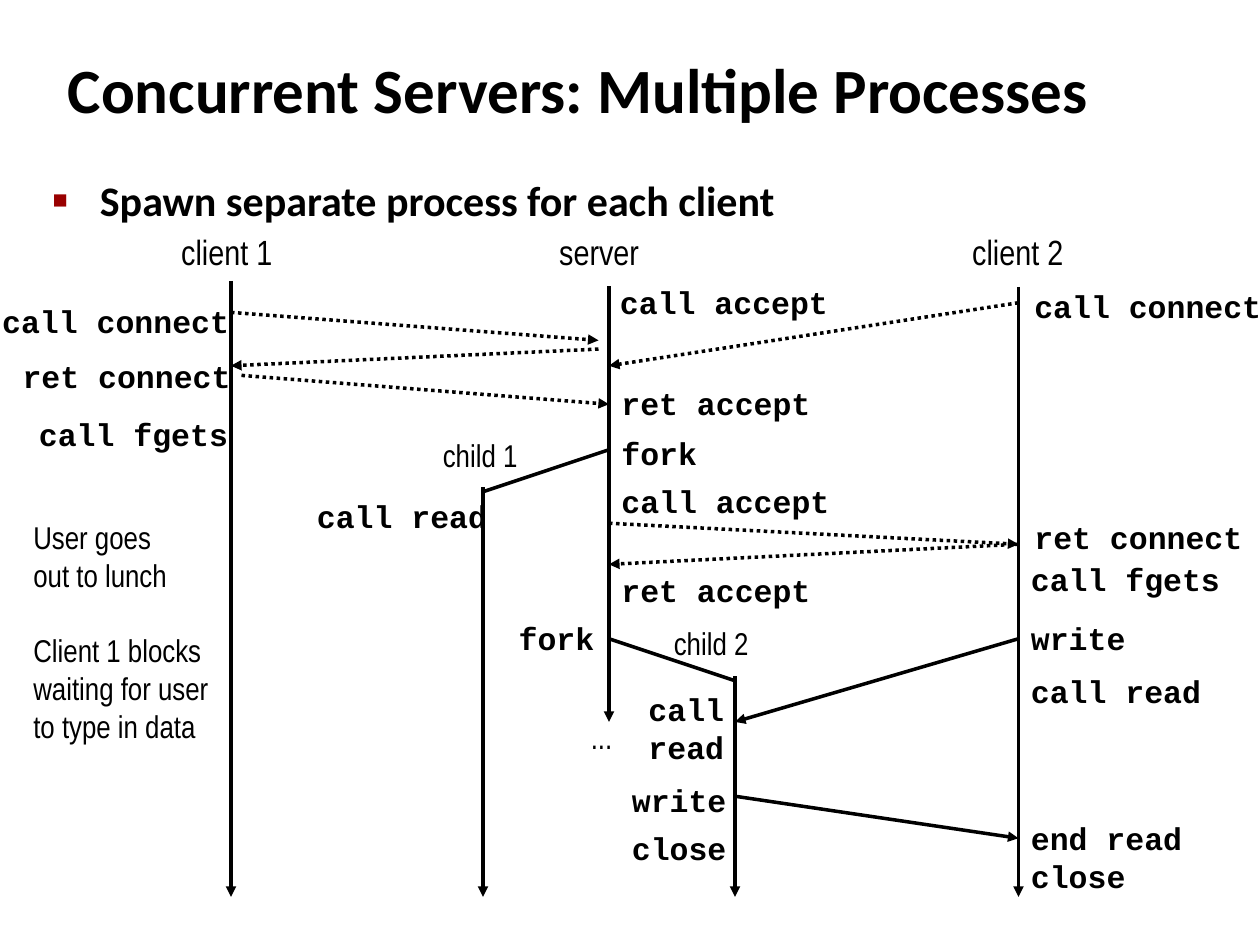
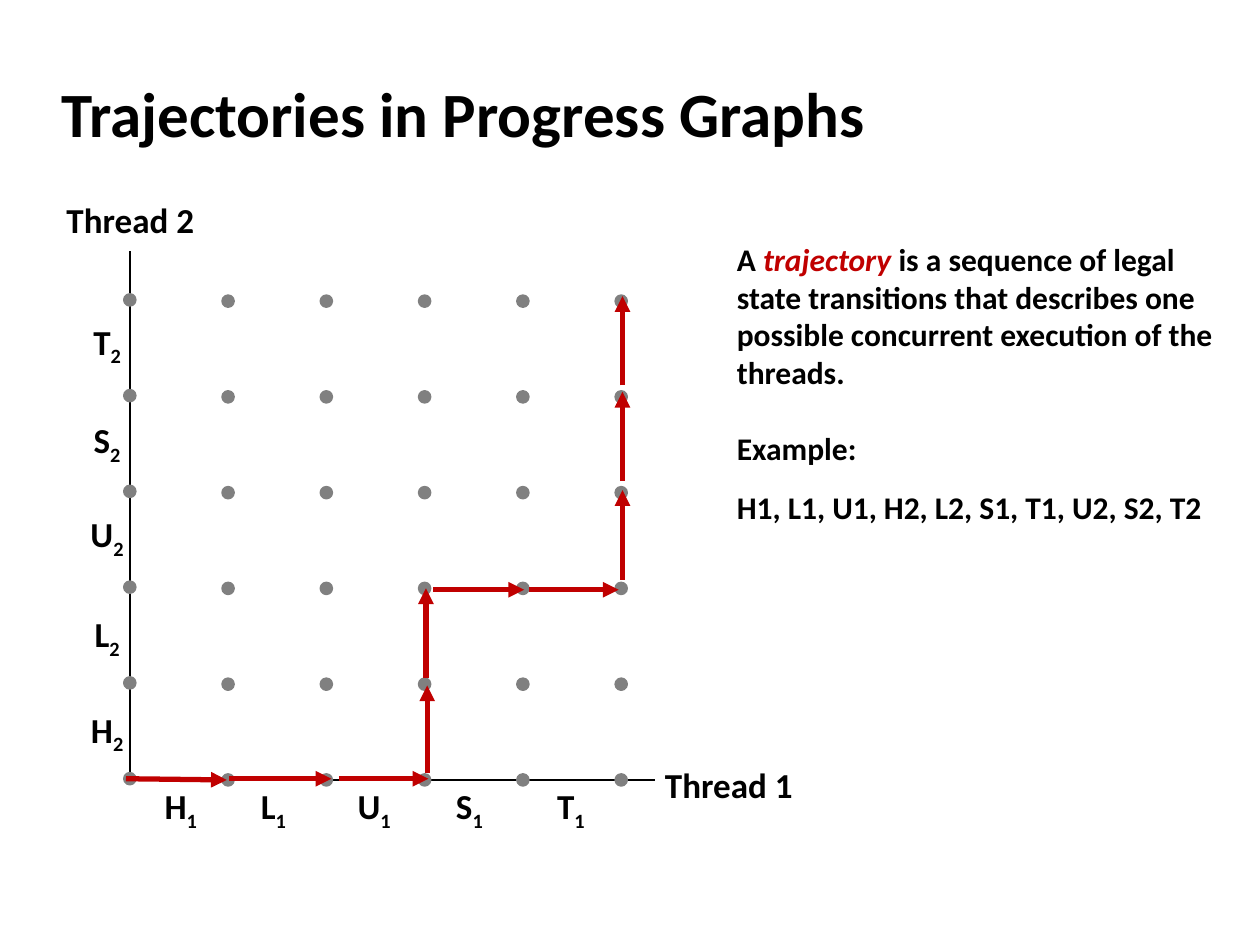
from typing import NamedTuple

from lxml.etree import SubElement
from pptx import Presentation
from pptx.dml.color import RGBColor
from pptx.enum.dml import MSO_LINE
from pptx.enum.shapes import MSO_CONNECTOR, MSO_SHAPE
from pptx.enum.text import MSO_ANCHOR, MSO_AUTO_SIZE, PP_ALIGN
from pptx.oxml.ns import qn
from pptx.util import Pt

BLACK, GRAY, RED, BULLET_RED = "000000", "808080", "C00000", "990000"
HEADING, NARROW, CODE = "Calibri", "Arial Narrow", "Courier New"
CODE_CHAR, INSETS = 10.8, 14.4

CLIENT_1, CHILD_1, SERVER, CHILD_2, CLIENT_2 = 132, 276, 348, 420, 582
NEAR_SERVER, TIME_END = 342, 512.5


class Arrow(NamedTuple):
    x1: float
    y1: float
    x2: float
    y2: float
    dotted: bool = False
    head: bool = True


class Label(NamedTuple):
    text: str
    left: float
    top: float
    width: float = 0
    size: float = 18


class Step(NamedTuple):
    name: str
    across: float
    up: float


LIFELINES = [
    Arrow(CLIENT_1, 160.5, CLIENT_1, TIME_END),
    Arrow(SERVER, 163.5, SERVER, 412.5),
    Arrow(CLIENT_2, 164, CLIENT_2, TIME_END),
    Arrow(CHILD_1, 278.5, CHILD_1, TIME_END),
    Arrow(CHILD_2, 386.5, CHILD_2, TIME_END),
]
MESSAGES = [
    Arrow(CLIENT_1, 178.5, NEAR_SERVER, 194.5, dotted=True),
    Arrow(NEAR_SERVER, 199.5, CLIENT_1, 209, dotted=True),
    Arrow(138, 214.5, SERVER, 231, dotted=True),
    Arrow(CLIENT_2, 173, SERVER, 209, dotted=True),
    Arrow(SERVER, 299, CLIENT_2, 311, dotted=True),
    Arrow(CLIENT_2, 311, SERVER, 322.5, dotted=True),
    Arrow(SERVER, 257, CHILD_1, 281, head=False),
    Arrow(SERVER, 365, CHILD_2, 389, head=False),
    Arrow(CLIENT_2, 365, CHILD_2, 412.5),
    Arrow(CHILD_2, 455, CLIENT_2, 479),
]
ROLES = [
    Label("client 1", 96.5, 128, 67, 20),
    Label("server", 312.5, 128, 60.5, 20),
    Label("client 2", 548.5, 128, 67, 20),
    Label("child 1", 246, 245.5, 66),
    Label("child 2", 378, 353, 66),
    Label("...", 330.5, 407, 29.5),
]
CALLS = [
    Label("call connect", -5.8, 169),
    Label("ret connect", 5.8, 200.3),
    Label("call fgets", 15.2, 233.7),
    Label("call accept", 347.2, 158.2),
    Label("ret accept", SERVER, 216),
    Label("fork", SERVER, 244.7),
    Label("call accept", SERVER, 272),
    Label("ret accept", SERVER, 322.5),
    Label("fork", 289.3, 350),
    Label("call read", 174, 280.7),
    Label("call\nread", 363.5, 391, 69),
    Label("write", 354, 443),
    Label("close", 354, 470),
    Label("call connect", 584, 160.5),
    Label("ret connect", 584, 292.7),
    Label("call fgets", CLIENT_2, 316.7),
    Label("write", CLIENT_2, 350),
    Label("call read", CLIENT_2, 380.2),
    Label("end read", CLIENT_2, 464.5),
    Label("close", CLIENT_2, 486),
]

STEPS = [
    Step("H", 103.3, 418.3),
    Step("L", 156.2, 363.6),
    Step("U", 213.8, 306.7),
    Step("S", 268.2, 252.7),
    Step("T", 326.2, 196.6),
]
STEP_WIDTH = 40
DOT_COUNT, DOT_SIZE = 6, 5.76
DOT_LEFT, DOT_BOTTOM, DOT_ACROSS, DOT_UP = 71.28, 442.8, 56.16, 54.72
AXES = [
    Arrow(74.2, 445.7, 374.4, 445.7, head=False),
    Arrow(74.2, 445.7, 74.2, 143.3, head=False),
]
TRAJECTORY = [
    Arrow(72, 445, 129.6, 445.7),
    Arrow(131, 445, 189.4, 445),
    Arrow(193.7, 445, 244.8, 445),
    Arrow(244.1, 442, 244.1, 391.7),
    Arrow(243.4, 387.4, 243.4, 336.2),
    Arrow(247.7, 337, 299.5, 337),
    Arrow(302.4, 337, 353.5, 337),
    Arrow(355.7, 331.2, 355.7, 280.1),
    Arrow(355.7, 275, 355.7, 223.9),
    Arrow(355.7, 220.3, 355.7, 169.2),
]


def color(value: str) -> RGBColor:
    return RGBColor.from_string(value)


def add_span(para, text: str, *, font: str, size: float, bold: bool = False,
             italic: bool = False, fill: str = BLACK, baseline: int = 0) -> None:
    span = para.add_run()
    span.text = text
    span.font.name = font
    span.font.size = Pt(size)
    span.font.bold = bold
    span.font.italic = italic
    span.font.color.rgb = color(fill)
    if baseline:
        span._r.get_or_add_rPr().set("baseline", str(baseline))


def add_box(page, left: float, top: float, width: float, height: float, *,
            wrap: bool = False, grow: bool = True, middle: bool = False):
    box = page.shapes.add_textbox(Pt(left), Pt(top), Pt(width), Pt(height))
    frame = box.text_frame
    frame.word_wrap = wrap
    frame.auto_size = MSO_AUTO_SIZE.SHAPE_TO_FIT_TEXT if grow else MSO_AUTO_SIZE.NONE
    frame.vertical_anchor = MSO_ANCHOR.MIDDLE if middle else MSO_ANCHOR.TOP
    return frame


def add_lines(frame, text: str, **style) -> None:
    for index, line in enumerate(text.split("\n")):
        para = frame.add_paragraph() if index else frame.paragraphs[0]
        add_span(para, line, **style)


def add_title(page, text: str, left: float, top: float, width: float, height: float) -> None:
    frame = add_box(page, left, top, width, height, wrap=True, grow=False, middle=True)
    add_lines(frame, text, font=HEADING, size=36, bold=True)


def add_bullet(para) -> None:
    properties = para._p.get_or_add_pPr()
    properties.set("marL", str(Pt(27)))
    properties.set("indent", str(-Pt(27)))
    tint = SubElement(properties, qn("a:buClr"))
    SubElement(tint, qn("a:srgbClr"), val=BULLET_RED)
    SubElement(properties, qn("a:buSzPct"), val="60000")
    SubElement(properties, qn("a:buFont"), typeface="Arial")
    SubElement(properties, qn("a:buChar"), char="■")


def add_arrow(page, arrow: Arrow, *, width: float = 2, fill: str = BLACK) -> None:
    line = page.shapes.add_connector(
        MSO_CONNECTOR.STRAIGHT, Pt(arrow.x1), Pt(arrow.y1), Pt(arrow.x2), Pt(arrow.y2))
    line.line.color.rgb = color(fill)
    line.line.width = Pt(width)
    if arrow.dotted:
        line.line.dash_style = MSO_LINE.ROUND_DOT
    if arrow.head:
        SubElement(line.line._get_or_add_ln(), qn("a:tailEnd"), type="triangle")
    SubElement(line._element.spPr, qn("a:effectLst"))


def add_label(page, label: Label, *, font: str, bold: bool = False) -> None:
    width = label.width or INSETS + CODE_CHAR * len(label.text)
    height = 7.2 + 1.2 * label.size * len(label.text.split("\n"))
    frame = add_box(page, label.left, label.top, width, height)
    add_lines(frame, label.text, font=font, size=label.size, bold=bold)


def add_graph_label(page, text: str, center_x: float, center_y: float, width: float,
                    subscript: str = "") -> None:
    frame = add_box(page, center_x - width / 2, center_y - 15.8, width, 31.6, middle=True)
    para = frame.paragraphs[0]
    para.alignment = PP_ALIGN.CENTER
    add_span(para, text, font=HEADING, size=20, bold=True)
    if subscript:
        add_span(para, subscript, font=HEADING, size=20, bold=True, baseline=-25000)


def add_dot_column(page, column: int) -> None:
    group = page.shapes.add_group_shape()
    bottom = DOT_BOTTOM if column else DOT_BOTTOM - 0.72
    for row in range(DOT_COUNT):
        dot = group.shapes.add_shape(
            MSO_SHAPE.OVAL, Pt(DOT_LEFT + column * DOT_ACROSS), Pt(bottom - row * DOT_UP),
            Pt(DOT_SIZE), Pt(DOT_SIZE))
        dot.shadow.inherit = False
        dot.fill.solid()
        dot.fill.fore_color.rgb = color(GRAY)
        dot.line.color.rgb = color(GRAY)
        dot.line.width = Pt(2)


def build_servers(page) -> None:
    add_title(page, "Concurrent Servers: Multiple Processes", 31.7, 19.7, 687, 61.2)
    body = add_box(page, 23, 96, 697, 411, wrap=True, grow=False)
    add_bullet(body.paragraphs[0])
    add_lines(body, "Spawn separate process for each client", font=HEADING, size=24, bold=True)
    for arrow in LIFELINES + MESSAGES:
        add_arrow(page, arrow)
    for label in ROLES:
        add_label(page, label, font=NARROW)
    for label in CALLS:
        add_label(page, label, font=CODE, bold=True)
    lunch = add_box(page, 12, 292.5, 120.2, 180, wrap=True)
    add_lines(lunch, "User goes\nout to lunch\nClient 1 blocks\nwaiting for user to type in data",
              font=NARROW, size=18)
    lunch.paragraphs[2].space_before = Pt(21.5)


def build_trajectories(page) -> None:
    add_title(page, "Trajectories in Progress Graphs", 28, 34.3, 598, 59.8)
    frame = add_box(page, 414, 132.7, 300.2, 172, wrap=True, middle=True)
    style = dict(font=HEADING, size=18, bold=True)
    definition = frame.paragraphs[0]
    add_span(definition, "A ", **style)
    add_span(definition, "trajectory", italic=True, fill=RED, **style)
    add_span(definition, " is a sequence of legal state transitions that describes one "
             "possible concurrent execution of the threads.", **style)
    for text, gap in [("Example:", 21.6), ("H1, L1, U1, H2, L2, S1, T1, U2, S2, T2", 12)]:
        para = frame.add_paragraph()
        para.space_before = Pt(gap)
        add_span(para, text, **style)
    for axis in AXES:
        add_arrow(page, axis, width=1)
    for step in STEPS:
        add_graph_label(page, step.name, step.across, 462.2, STEP_WIDTH, "1")
        add_graph_label(page, step.name, 61.2, step.up, STEP_WIDTH, "2")
    add_graph_label(page, "Thread 1", 416.5, 448.3, 88)
    add_graph_label(page, "Thread 2", 74.5, 125.7, 88)
    for column in range(DOT_COUNT):
        add_dot_column(page, column)
    for arrow in TRAJECTORY:
        add_arrow(page, arrow, width=3, fill=RED)


def main() -> None:
    deck = Presentation()
    deck.slide_width, deck.slide_height = Pt(720), Pt(540)
    for build in (build_servers, build_trajectories):
        build(deck.slides.add_slide(deck.slide_layouts[6]))
    deck.save("out.pptx")


if __name__ == "__main__":
    main()
